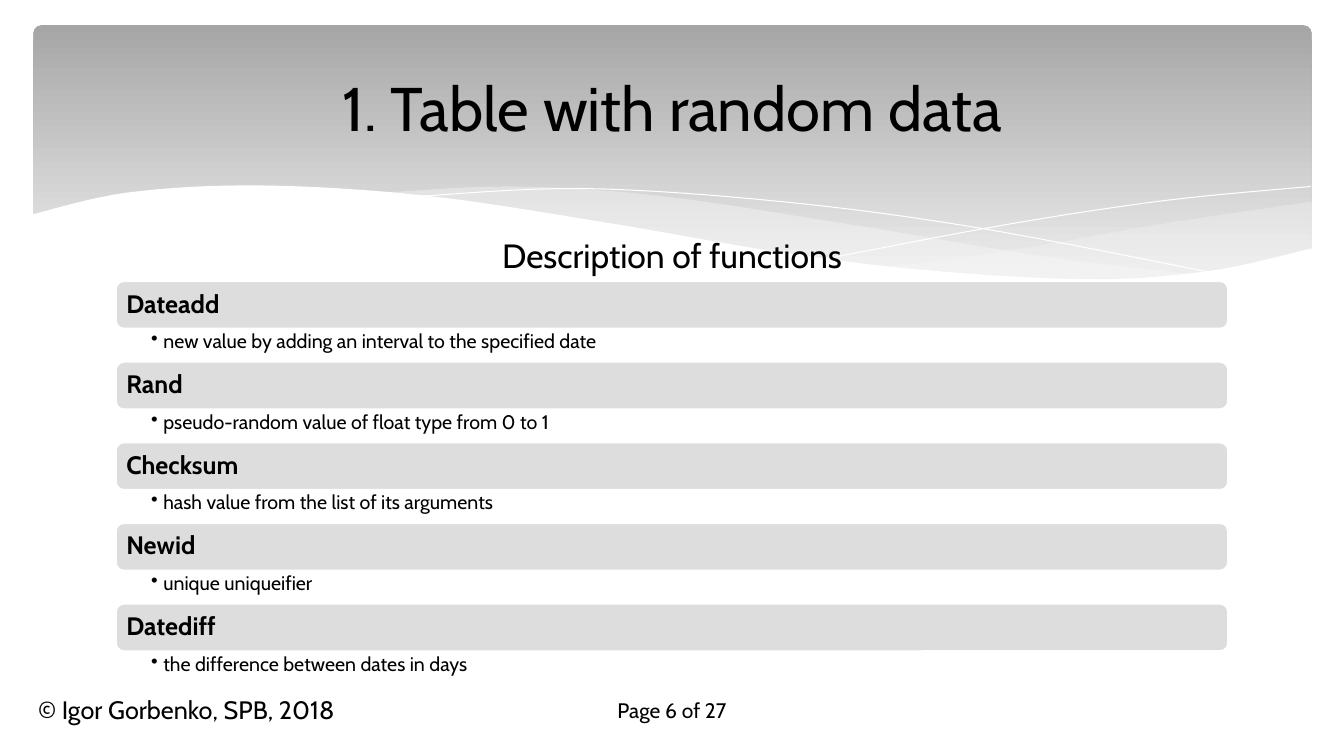
from dataclasses import dataclass
from typing import Any, Optional

from lxml.etree import SubElement
from pptx import Presentation
from pptx.dml.color import RGBColor
from pptx.enum.shapes import MSO_SHAPE as Preset
from pptx.enum.text import MSO_ANCHOR as Anchor, MSO_AUTO_SIZE as AutoSize, PP_ALIGN as Align
from pptx.oxml.ns import qn
from pptx.util import Inches, Pt

BLACK, WHITE, BAR_GREY, WAVE_GREY = "000000", "FFFFFF", "DDDDDD", "F8F8F8"
Box = tuple[float, float, float, float]
Point = tuple[float, float]


@dataclass
class Wave:
    edges: list[list[Point]]  # each edge is a smooth curve through its knots
    fill: Optional[str] = None
    opacity: int = 100


@dataclass
class SqlFunction:
    name: str
    description: str


WAVES = [
    # Right-hand swell
    Wave([[(13.01, 2), (11.47, 2.23), (10.05, 2.48), (8.82, 2.65)],
          [(8.82, 2.65), (10.25, 2.77), (11.63, 2.74), (13.01, 2.47)]], WAVE_GREY, 29),
    # Middle swell
    Wave([[(11.9, 2.73), (10.34, 2.54), (8.39, 2.22), (6.52, 1.94), (5.06, 1.85), (3.82, 1.91)],
          [(3.82, 1.91), (5.99, 2.22), (8.02, 2.55), (9.98, 2.76), (11.9, 2.73)]], WAVE_GREY, 40),
    # Thin white curves
    Wave([[(4.12, 1.95), (5.77, 1.87), (7.75, 2), (9.7, 2.26), (12.1, 2.72)]]),
    Wave([[(8.18, 2.57), (9.97, 2.23), (11.55, 1.99), (13, 1.85)]]),
    # White edge below the header
    Wave([[(13.03, 2.46), (11.98, 2.69), (10.78, 2.77), (9.18, 2.68), (7.72, 2.5), (5.96, 2.2),
           (4.21, 1.94), (2.58, 1.84), (1.27, 1.91), (0.31, 2.13)],
          [(0.31, 3.29), (13.03, 3.29)]], WHITE),
]
FUNCTIONS = [
    SqlFunction("Dateadd", "new value by adding an interval to the specified date"),
    SqlFunction("Rand", "pseudo-random value of float type from 0 to 1"),
    SqlFunction("Checksum", "hash value from the list of its arguments"),
    SqlFunction("Newid", "unique uniqueifier"),
    SqlFunction("Datediff", "the difference between dates in days"),
]
FIRST_TOP, PITCH, BAR_HEIGHT = 2.79, 0.8, 0.47
CURVE_STEPS = 8


def rgb(color: str) -> RGBColor:
    return RGBColor.from_string(color)


def inches(box: Box) -> list[int]:
    return [Inches(length) for length in box]


def apply(target: Any, values: dict[str, Any]) -> None:
    for name, value in values.items():
        setattr(target, name, value)


def spline(before: float, start: float, end: float, after: float, t: float) -> float:
    """Catmull-Rom value between start and end."""
    linear = end - before
    square = 2 * before - 5 * start + 4 * end - after
    cube = 3 * (start - end) + after - before
    return start + (linear * t + square * t ** 2 + cube * t ** 3) / 2


def smooth(knots: list[Point]) -> list[Point]:
    padded = [knots[0], *knots, knots[-1]]
    curve = [tuple(spline(*axis, step / CURVE_STEPS) for axis in zip(*padded[i:i + 4]))
             for i in range(len(knots) - 1) for step in range(CURVE_STEPS)]
    return [*curve, knots[-1]]


def write(shape: Any, text: str, size: float, align: Align = Align.LEFT,
          bold: bool = False, anchor: Anchor = Anchor.MIDDLE,
          margins: Box = (0.1, 0.05, 0.1, 0.05), spacing: float = 1.0) -> Any:
    frame = shape.text_frame
    sides = ("margin_left", "margin_top", "margin_right", "margin_bottom")
    apply(frame, {"word_wrap": True, "auto_size": AutoSize.NONE, "vertical_anchor": anchor,
                  **dict(zip(sides, inches(margins)))})
    paragraph = frame.paragraphs[0]
    apply(paragraph, {"alignment": align, "line_spacing": spacing})
    run = paragraph.add_run()
    run.text = text
    apply(run.font, {"name": "Cabin", "size": Pt(size), "bold": bold})
    run.font.color.rgb = rgb(BLACK)
    return paragraph


def add_text(slide: Any, box: Box, text: str, size: float, **format_values: Any) -> Any:
    return write(slide.shapes.add_textbox(*inches(box)), text, size, **format_values)


def add_bullet(paragraph: Any) -> None:
    properties = paragraph._p.get_or_add_pPr()
    properties.set("marL", str(Inches(0.12)))
    properties.set("indent", str(Inches(-0.12)))
    SubElement(properties, qn("a:buChar")).set("char", "•")


def add_header_panel(slide: Any) -> None:
    panel = slide.shapes.add_shape(Preset.ROUNDED_RECTANGLE, *inches((0.33, 0.25, 12.68, 2.7)))
    panel.shadow.inherit = False
    panel.adjustments[0] = 0.03
    panel.line.fill.background()
    panel.fill.gradient()
    panel.fill.gradient_angle = 270
    for stop, (position, color) in zip(panel.fill.gradient_stops, [(0, "A6A6A6"), (0.9, "EBEBEB")]):
        stop.position = position
        stop.color.rgb = rgb(color)


def add_wave(slide: Any, wave: Wave) -> None:
    start, *rest = [(Inches(x), Inches(y)) for edge in wave.edges for x, y in smooth(edge)]
    builder = slide.shapes.build_freeform(*start)
    builder.add_line_segments(rest, close=wave.fill is not None)
    shape = builder.convert_to_shape()
    shape.shadow.inherit = False
    if wave.fill is None:
        shape.fill.background()
        shape.line.color.rgb = rgb(WHITE)
        shape.line.width = Pt(0)
        return
    shape.line.fill.background()
    shape.fill.solid()
    shape.fill.fore_color.rgb = rgb(wave.fill)
    if wave.opacity < 100:
        color = shape._element.spPr.find(qn("a:solidFill")).find(qn("a:srgbClr"))
        SubElement(color, qn("a:alpha")).set("val", str(wave.opacity * 1000))


def add_function(slide: Any, function: SqlFunction, top: float) -> None:
    bar = slide.shapes.add_shape(Preset.ROUNDED_RECTANGLE, *inches((1.15, top, 11.03, BAR_HEIGHT)))
    bar.shadow.inherit = False
    bar.fill.solid()
    bar.fill.fore_color.rgb = rgb(BAR_GREY)
    bar.line.color.rgb = rgb(WHITE)
    bar.line.width = Pt(1.25)
    write(bar, function.name, 18, bold=True, margins=(0.08, 0.07, 0.08, 0.07), spacing=0.9)
    description = add_text(slide, (1.15, top + BAR_HEIGHT, 11.03, 0.33), function.description, 14,
                           anchor=Anchor.TOP, margins=(0.35, 0.03, 0.14, 0.03), spacing=0.9)
    add_bullet(description)


def main() -> None:
    deck = Presentation()
    apply(deck, {"slide_width": Inches(13.33), "slide_height": Inches(7.5)})
    slide = deck.slides.add_slide(deck.slide_layouts[5])

    # Header backdrop
    add_header_panel(slide)
    for wave in WAVES:
        add_wave(slide, wave)

    # Title in front of the backdrop, then subtitle
    title = slide.shapes.title
    slide.shapes._spTree.append(title._element)
    apply(title, dict(zip(("left", "top", "width", "height"), inches((0.67, 0.37, 12, 1.37)))))
    write(title, "1. Table with random data", 44, align=Align.CENTER)
    add_text(slide, (3.88, 2.18, 5.57, 0.7), "Description of functions", 24, align=Align.CENTER)

    # Function list
    for row, function in enumerate(FUNCTIONS):
        add_function(slide, function, FIRST_TOP + row * PITCH)

    # Footer
    add_text(slide, (0.28, 6.84, 5.52, 0.4), "© Igor Gorbenko, SPB, 2018", 18)
    add_text(slide, (5.82, 6.84, 1.69, 0.4), "Page 6 of 27", 15, align=Align.CENTER)

    deck.save("out.pptx")


if __name__ == "__main__":
    main()
